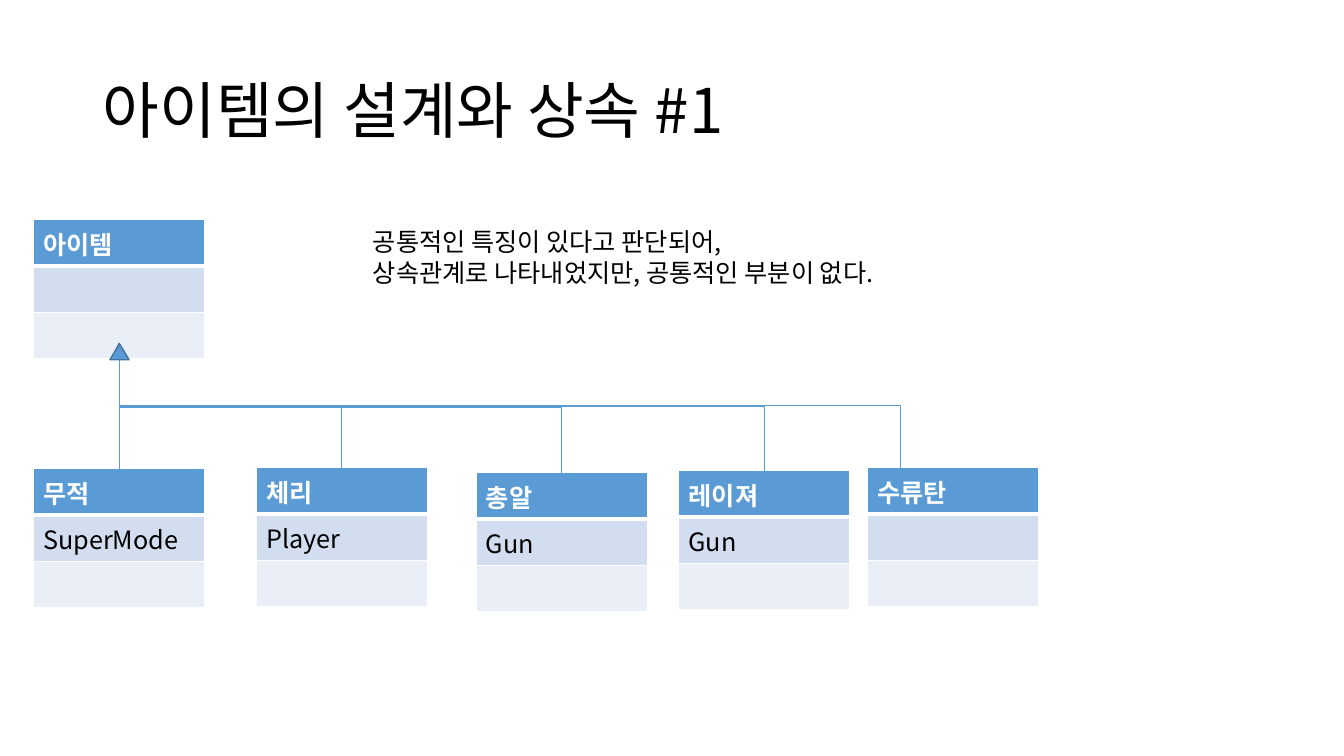
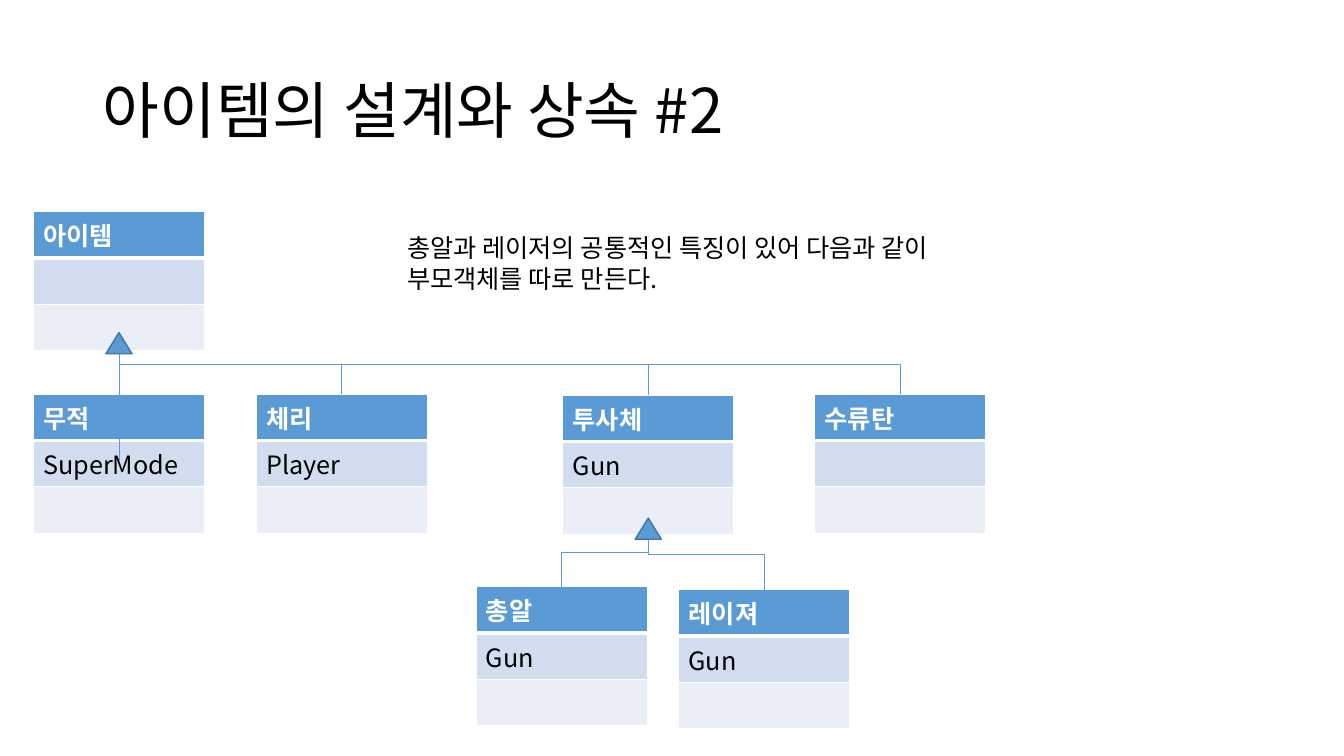
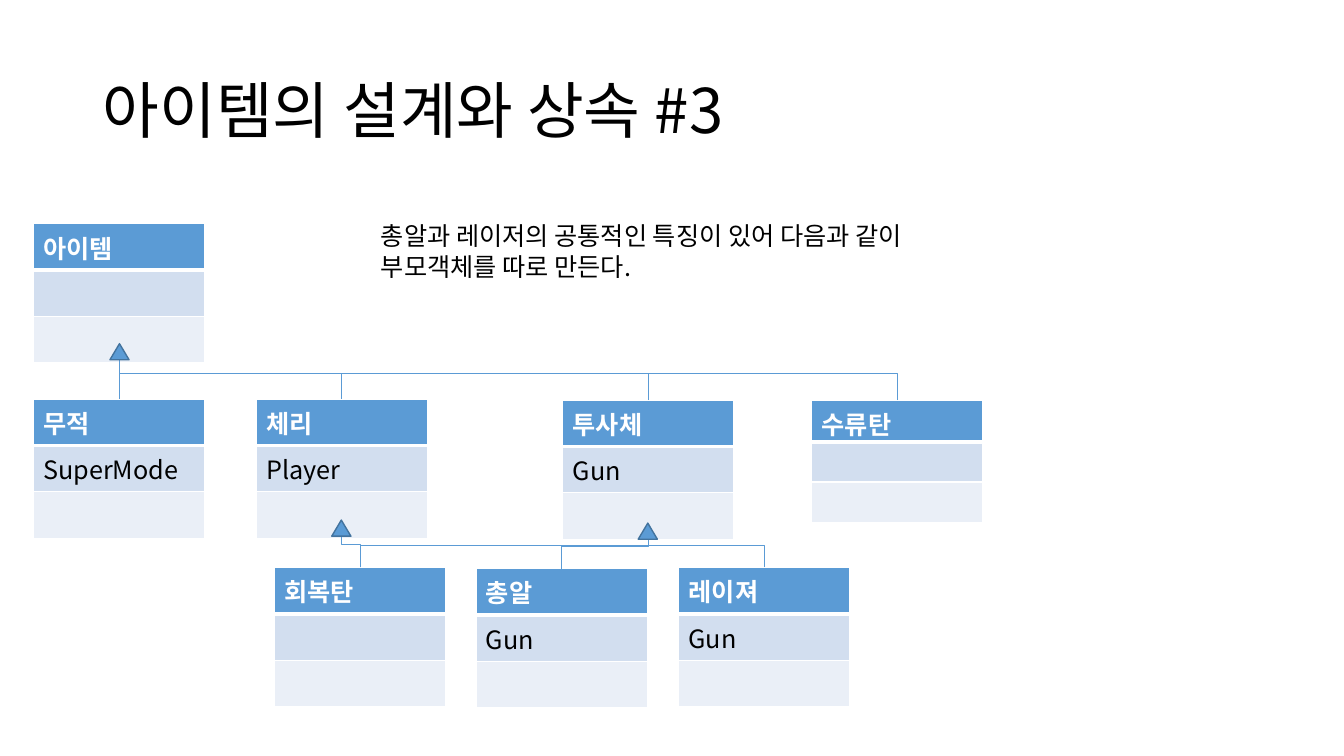
from dataclasses import dataclass

from lxml import etree
from pptx import Presentation
from pptx.dml.color import RGBColor
from pptx.enum.shapes import MSO_CONNECTOR, MSO_SHAPE
from pptx.enum.text import MSO_ANCHOR, MSO_AUTO_SIZE, PP_ALIGN
from pptx.oxml.ns import qn
from pptx.util import Inches, Pt

STRAIGHT, ELBOW = MSO_CONNECTOR.STRAIGHT, MSO_CONNECTOR.ELBOW
TRIANGLE = MSO_SHAPE.ISOSCELES_TRIANGLE
MIDDLE, LEFT, NO_FIT = MSO_ANCHOR.MIDDLE, PP_ALIGN.LEFT, MSO_AUTO_SIZE.NONE

FONT = "Noto Sans CJK KR"
BLACK = RGBColor(0x00, 0x00, 0x00)
WHITE = RGBColor(0xFF, 0xFF, 0xFF)
BLUE = RGBColor(0x5B, 0x9B, 0xD5)
DARK_BLUE = RGBColor(0x43, 0x73, 0x9E)
BAND_FILLS = (BLUE, RGBColor(0xD2, 0xDE, 0xEF), RGBColor(0xEA, 0xEF, 0xF7))

TITLE = "아이템의 설계와 상속 #{}"
BOX_WIDTH = 1.7
JOIN_DROP = 1.22
ROW_HEIGHTS = (0.46, 0.46, 0.46)
SHORT_ROWS = (0.41, 0.4, 0.4)
SMALL_ARROW = (0.19, 0.16)
LARGE_ARROW = (0.26, 0.21)
PROJECTILE_NOTE = "총알과 레이저의 공통적인 특징이 있어 다음과 같이\v부모객체를 따로 만든다."


@dataclass
class ClassBox:
    """A class with its place, its member and the classes it inherits from."""

    name: str
    left: float
    top: float
    member: str = ""
    parents: tuple = ("아이템",)
    link_start: tuple = ()
    rows: tuple = ROW_HEIGHTS

    @property
    def center(self):
        """Return the horizontal middle of the box."""
        return self.left + BOX_WIDTH / 2


DIAGRAMS = (
    {
        "note": ("공통적인 특징이 있다고 판단되어,\v상속관계로 나타내었지만, 공통적인 부분이 없다.", 3.6, 2.2),
        "classes": (
            ClassBox("아이템", 0.33, 2.18, parents=()),
            ClassBox("무적", 0.33, 4.65, "SuperMode"),
            ClassBox("체리", 2.54, 4.64, "Player"),
            ClassBox("총알", 4.72, 4.69, "Gun"),
            ClassBox("레이져", 6.73, 4.67, "Gun"),
            ClassBox("수류탄", 8.6, 4.64, link_start=(8.93, 4.64)),
        ),
        "arrow_size": SMALL_ARROW,
        "arrows": ((1.09, 3.41),),
    },
    {
        "note": (PROJECTILE_NOTE, 3.94, 2.26),
        "classes": (
            ClassBox("아이템", 0.33, 2.1, parents=()),
            ClassBox("무적", 0.33, 3.91, "SuperMode", link_start=(1.18, 4.57)),
            ClassBox("체리", 2.54, 3.91, "Player"),
            ClassBox("총알", 4.72, 5.82, "Gun", ("투사체",)),
            ClassBox("레이져", 6.73, 5.85, "Gun", ("투사체",)),
            ClassBox("투사체", 5.58, 3.92, "Gun"),
            ClassBox("수류탄", 8.08, 3.91),
        ),
        "arrow_size": LARGE_ARROW,
        "arrows": ((1.05, 3.3), (6.3, 5.14)),
    },
    {
        "note": (PROJECTILE_NOTE, 3.68, 2.14),
        "classes": (
            ClassBox("아이템", 0.33, 2.22, parents=()),
            ClassBox("무적", 0.33, 3.96, "SuperMode"),
            ClassBox("체리", 2.54, 3.96, "Player"),
            ClassBox("총알", 4.72, 5.64, "Gun", ("투사체",)),
            ClassBox("레이져", 6.73, 5.63, "Gun", ("투사체",)),
            ClassBox("투사체", 5.58, 3.97, "Gun"),
            ClassBox("회복탄", 2.72, 5.63, parents=("체리", "투사체")),
            ClassBox("수류탄", 8.05, 3.97, rows=SHORT_ROWS),
        ),
        "arrow_size": SMALL_ARROW,
        "arrows": ((1.09, 3.41), (3.29, 5.16), (6.33, 5.19)),
    },
)


def write_text(frame, text, size=18, color=BLACK, bold=False, line_spacing=None):
    """Put formatted left-aligned text into a text frame."""
    paragraph = frame.paragraphs[0]
    paragraph.text = text
    paragraph.alignment = LEFT
    paragraph.line_spacing = line_spacing
    for run in paragraph.runs:
        font = run.font
        font.name, font.size, font.bold = FONT, Pt(size), bold
        font.color.rgb = color
        etree.SubElement(run.font._element, qn("a:ea"), typeface=FONT)


def add_title(slide, text):
    """Place and fill the slide title."""
    title = slide.shapes.title
    title.left, title.top = Inches(0.92), Inches(0.4)
    title.width, title.height = Inches(11.5), Inches(1.45)
    frame = title.text_frame
    frame.auto_size, frame.vertical_anchor, frame.word_wrap = NO_FIT, MIDDLE, True
    write_text(frame, text, size=44, line_spacing=0.9)


def add_note(slide, text, left, top):
    """Add the explanation beside the top class."""
    note = slide.shapes.add_textbox(Inches(left), Inches(top), Inches(6.65), Inches(0.71))
    note.text_frame.word_wrap = True
    write_text(note.text_frame, text)


def set_borders(cell, top_width, bottom_width):
    """Draw the white borders of a cell ahead of its fill."""
    properties = cell._tc.get_or_add_tcPr()
    widths = (("lnL", 1), ("lnR", 1), ("lnT", top_width), ("lnB", bottom_width))
    for position, (side, width) in enumerate(widths):
        border = etree.Element(qn(f"a:{side}"), w=str(Pt(width)))
        fill = etree.SubElement(border, qn("a:solidFill"))
        etree.SubElement(fill, qn("a:srgbClr"), val=str(WHITE))
        properties.insert(position, border)


def add_class(slide, box):
    """Add a class as a table of name, member and empty row."""
    frame = slide.shapes.add_table(
        len(box.rows), 1, Inches(box.left), Inches(box.top),
        Inches(BOX_WIDTH), Inches(sum(box.rows)))
    table = frame.table
    table.horz_banding = False
    for index, text in enumerate((box.name, box.member, "")):
        table.rows[index].height = Inches(box.rows[index])
        cell = table.cell(index, 0)
        cell.margin_bottom = 0
        cell.fill.solid()
        cell.fill.fore_color.rgb = BAND_FILLS[index]
        set_borders(cell, 3 if index == 1 else 1, 3 if index == 0 else 1)
        is_name = index == 0
        write_text(cell.text_frame, text, color=WHITE if is_name else BLACK, bold=is_name)


def add_link(slide, start, end):
    """Connect a child to its parent, leaving and arriving vertically."""
    (start_x, start_y), (end_x, end_y) = start, end
    if abs(start_x - end_x) < 0.01:
        points, kind = (start_x, start_y, end_x, end_y), STRAIGHT
    else:
        middle_x, middle_y = (start_x + end_x) / 2, (start_y + end_y) / 2
        rise, run = (start_y - end_y) / 2, (start_x - end_x) / 2
        points = (middle_x - rise, middle_y + run, middle_x + rise, middle_y - run)
        kind = ELBOW
    link = slide.shapes.add_connector(kind, *map(Inches, points))
    properties = link._element.spPr
    if kind == ELBOW:
        properties.find(qn("a:xfrm")).set("rot", str(270 * 60000))
    link.line.color.rgb = BLUE
    link.line.width = Pt(0.5)
    etree.SubElement(properties.find(qn("a:ln")), qn("a:tailEnd"), type="triangle")
    etree.SubElement(properties, qn("a:effectLst"))


def add_arrow(slide, left, top, size):
    """Add the inheritance triangle under a parent class."""
    arrow = slide.shapes.add_shape(TRIANGLE, *map(Inches, (left, top, *size)))
    arrow.shadow.inherit = False
    arrow.fill.solid()
    arrow.fill.fore_color.rgb = BLUE
    arrow.line.color.rgb = DARK_BLUE
    arrow.line.width = Pt(1)


def add_diagram(presentation, number, diagram):
    """Build one slide with its title, classes and inheritance links."""
    slide = presentation.slides.add_slide(presentation.slide_layouts[5])
    add_title(slide, TITLE.format(number))
    classes = {box.name: box for box in diagram["classes"]}
    for box in classes.values():
        add_class(slide, box)
    for box in classes.values():
        for name in box.parents:
            parent = classes[name]
            start = box.link_start or (box.center, box.top)
            add_link(slide, start, (parent.center, parent.top + JOIN_DROP))
    add_note(slide, *diagram["note"])
    for left, top in diagram["arrows"]:
        add_arrow(slide, left, top, diagram["arrow_size"])


def main():
    """Build and save the presentation."""
    presentation = Presentation()
    presentation.slide_width, presentation.slide_height = Inches(13.33), Inches(7.5)
    for number, diagram in enumerate(DIAGRAMS, start=1):
        add_diagram(presentation, number, diagram)
    presentation.save("out.pptx")


if __name__ == "__main__":
    main()
